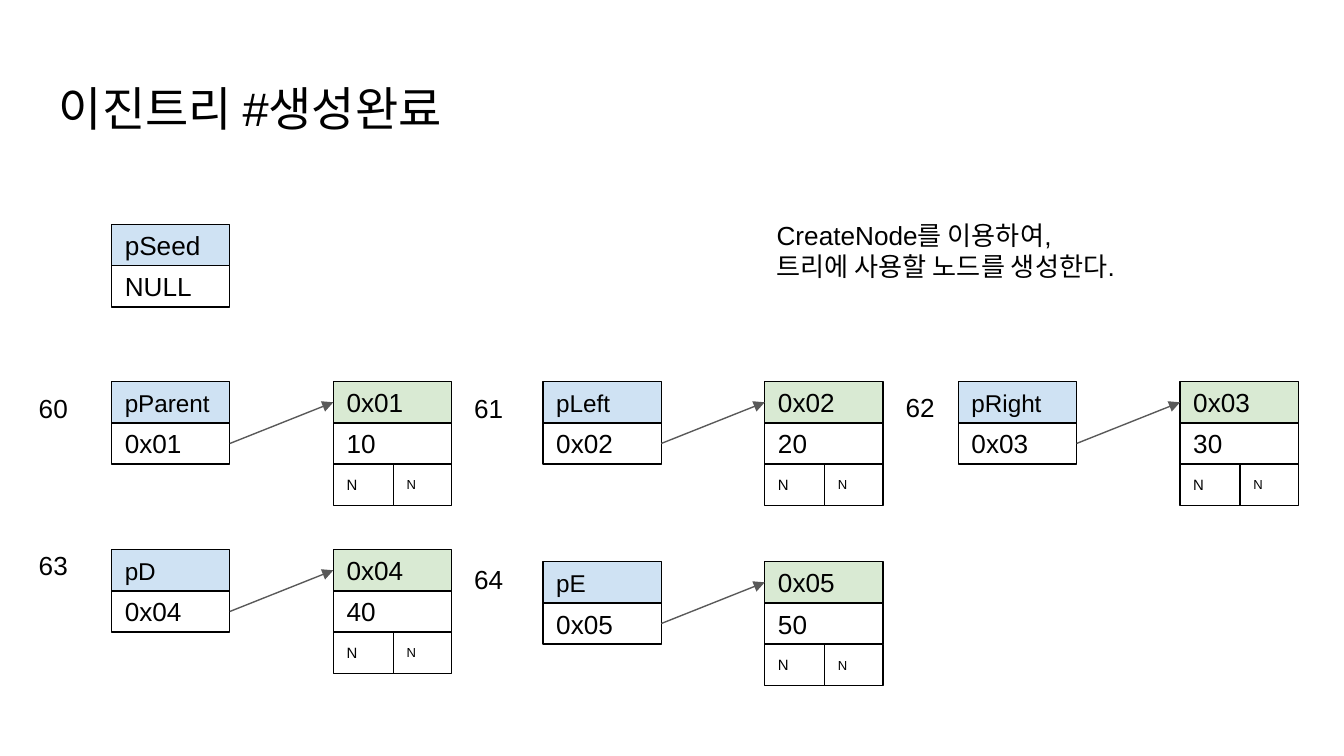
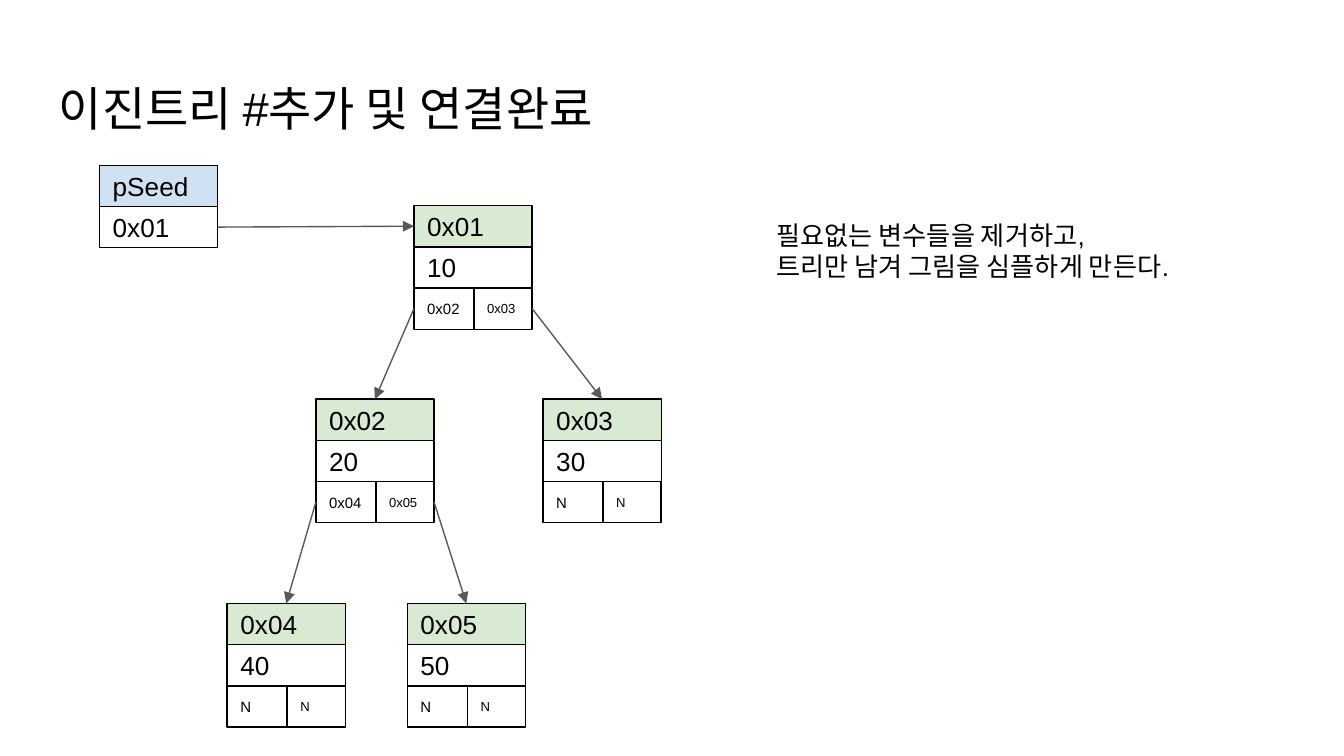
from pptx import Presentation
from pptx.dml.color import RGBColor
from pptx.enum.shapes import MSO_CONNECTOR as Connector, MSO_SHAPE as Preset
from pptx.enum.text import MSO_ANCHOR as Anchor, MSO_AUTO_SIZE as AutoSize, PP_ALIGN as Align
from pptx.oxml.ns import qn
from pptx.util import Inches, Pt
from lxml.etree import SubElement

WIDTH, HEIGHT = Inches(10), Inches(5.625)
UNIT = WIDTH / 100
COLORS = {
    "pointer": "CFE2F3",
    "address": "D9EAD3",
    "value": "FFFFFF",
    "text": "000000",
    "arrow": "595959",
}
FONT = "Arial"
BOX_WIDTH, LEFT_WIDTH = 8.8, 4.47
ROW = 9.2 / 3
NODE_OFFSET = 16.5
TOP, LEFT, RIGHT = 0, 1, 3


def units(*values):
    return [round(value * UNIT) for value in values]


def color(name):
    return RGBColor.from_string(COLORS[name])


def write(shape, text, size, anchor=Anchor.TOP):
    frame = shape.text_frame
    frame.word_wrap = True
    frame.vertical_anchor = anchor
    frame.margin_left = frame.margin_right = Inches(0.1)
    frame.margin_top = frame.margin_bottom = Inches(0.1)
    paragraph = frame.paragraphs[0]
    paragraph.text = text
    paragraph.alignment = Align.LEFT
    for run in paragraph.runs:
        run.font.name = FONT
        run.font.size = Pt(size)
        run.font.color.rgb = color("text")


def add_text(slide, text, left, top, width, height, size=14, grow=True):
    shape = slide.shapes.add_textbox(*units(left, top, width, height))
    write(shape, text, size)
    if grow:
        shape.text_frame.auto_size = AutoSize.SHAPE_TO_FIT_TEXT


def add_cell(group, text, left, top, width, fill="value", size=14):
    cell = group.shapes.add_shape(Preset.RECTANGLE, *units(left, top, width, ROW))
    cell.shadow.inherit = False
    cell.fill.solid()
    cell.fill.fore_color.rgb = color(fill)
    cell.line.color.rgb = color("text")
    cell.line.width = Pt(0.75)
    write(cell, text, size, Anchor.MIDDLE)
    return cell


def add_pointer(slide, name, value, left, top, size=13):
    group = slide.shapes.add_group_shape()
    add_cell(group, name, left, top, BOX_WIDTH, "pointer", size)
    return add_cell(group, value, left, top + ROW, BOX_WIDTH)


def add_node(slide, address, value, left, top, children=("N", "N")):
    group = slide.shapes.add_group_shape()
    head = add_cell(group, address, left, top, BOX_WIDTH, "address")
    add_cell(group, value, left, top + ROW, BOX_WIDTH)
    link_top = top + 2 * ROW
    left_link = add_cell(group, children[0], left, link_top, LEFT_WIDTH, size=8)
    right_link = add_cell(group, children[1], left + LEFT_WIDTH, link_top,
                          BOX_WIDTH - LEFT_WIDTH, size=7)
    return head, left_link, right_link


def add_arrow(slide, source, source_side, target, target_side):
    arrow = slide.shapes.add_connector(Connector.STRAIGHT, 0, 0, 0, 0)
    arrow.begin_connect(source, source_side)
    arrow.end_connect(target, target_side)
    arrow.line.color.rgb = color("arrow")
    arrow.line.width = Pt(0.75)
    SubElement(arrow.line._get_or_add_ln(), qn("a:tailEnd"), type="triangle")
    SubElement(arrow._element.spPr, qn("a:effectLst"))


def add_slide(presentation, title, note):
    slide = presentation.slides.add_slide(presentation.slide_layouts[6])
    add_text(slide, title, 3.4, 4.9, 93.2, 6.3, size=25.2, grow=False)
    add_text(slide, note, 56.8, 15.3, 34.9, 6.7)
    return slide


def build_creation(presentation):
    slide = add_slide(presentation, "이진트리 #생성완료",
                      "CreateNode를 이용하여,\n트리에 사용할 노드를 생성한다.")
    add_pointer(slide, "pSeed", "NULL", 8.3, 16.7, size=14)
    created = [
        ("pParent", 8.3, 28.4, 1.9, 28.2),
        ("pLeft", 40.4, 28.4, 34.3, 28.2),
        ("pRight", 71.3, 28.4, 66.4, 28.1),
        ("pD", 8.3, 40.9, 1.9, 39.9),
        ("pE", 40.4, 41.8, 34.3, 40.9),
    ]
    for number, (name, left, top, label_left, label_top) in enumerate(created, 1):
        address = f"0x0{number}"
        pointer = add_pointer(slide, name, address, left, top)
        head, _, _ = add_node(slide, address, str(number * 10), left + NODE_OFFSET, top)
        add_arrow(slide, pointer, RIGHT, head, LEFT)
        add_text(slide, str(59 + number), label_left, label_top, 5.4, 4.4)


def build_tree(presentation):
    slide = add_slide(presentation, "이진트리 #추가 및 연결완료",
                      "필요없는 변수들을 제거하고,\n트리만 남겨 그림을 심플하게 만든다.")
    seed = add_pointer(slide, "pSeed", "0x01", 7.4, 12.3, size=14)
    places = [(30.8, 15.3), (23.5, 29.7), (40.4, 29.7), (16.9, 44.9), (30.3, 44.9)]
    children = {1: (2, 3), 2: (4, 5)}
    nodes = {}
    for number, (left, top) in enumerate(places, 1):
        links = [f"0x0{child}" for child in children.get(number, ())] or ("N", "N")
        nodes[number] = add_node(slide, f"0x0{number}", str(number * 10), left, top, links)
    add_arrow(slide, seed, RIGHT, nodes[1][0], LEFT)
    for parent, (left_child, right_child) in children.items():
        _, left_link, right_link = nodes[parent]
        add_arrow(slide, left_link, LEFT, nodes[left_child][0], TOP)
        add_arrow(slide, right_link, RIGHT, nodes[right_child][0], TOP)


def main():
    presentation = Presentation()
    presentation.slide_width, presentation.slide_height = WIDTH, HEIGHT
    build_creation(presentation)
    build_tree(presentation)
    presentation.save("out.pptx")


if __name__ == "__main__":
    main()
